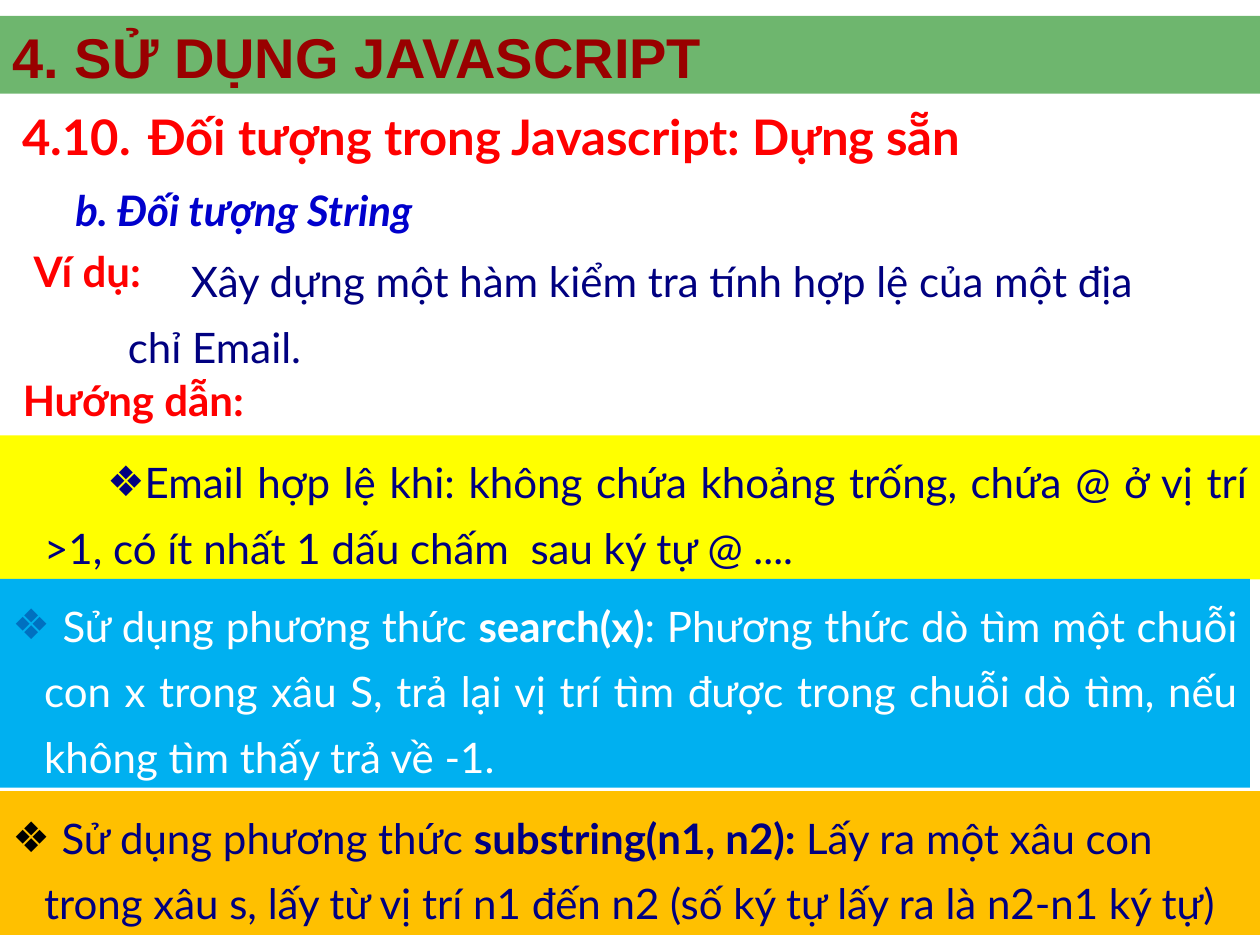
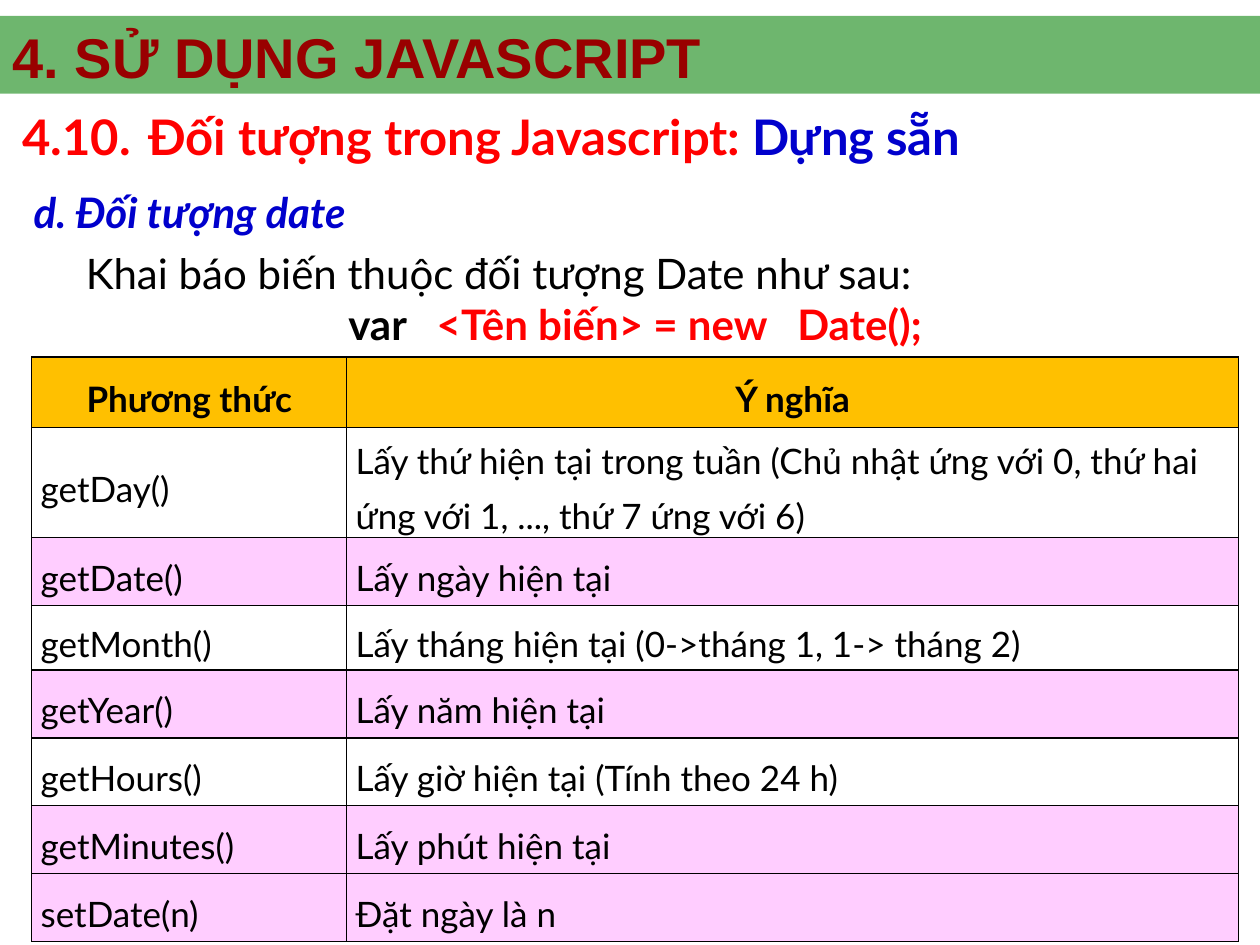
import pptx
import pptx.dml.color
import pptx.enum.shapes
import pptx.enum.text
import pptx.oxml
import pptx.oxml.ns
import pptx.util
from pptx.util import Cm

ALIGN = pptx.enum.text.PP_ALIGN
ANCHOR = pptx.enum.text.MSO_ANCHOR
COLORS = {
    "band": "008000", "title": "990000", "red": "FF0000", "blue": "0000CC",
    "navy": "000080", "black": "000000", "white": "FFFFFF", "yellow": "FFFF00",
    "sky": "00B0F0", "sky_bullet": "0070C0", "orange": "FFC000", "pink": "FFCDFF",
}
STYLES = {
    "title": {"name": "Arial", "size": 32, "bold": True, "color": "title"},
    "heading": {"name": "Lato", "size": 28, "bold": True, "color": "red"},
    "subheading": {"name": "Lato", "size": 24, "bold": True, "italic": True, "color": "blue"},
    "label": {"name": "Lato", "size": 24, "bold": True, "color": "red"},
    "body": {"name": "Lato", "size": 24, "bold": False, "color": "navy"},
    "cell": {"name": "Lato", "size": 20, "bold": False, "color": "black"},
}
BOLD = {"bold": True}
FIRST_LINE = {"margin": Cm(0), "indent": Cm(1.27)}
HANGING = {"margin": Cm(0.64), "indent": Cm(-0.64), "spacing": 1.3, "bullet": "❖"}


def rgb(color):
    return pptx.dml.color.RGBColor.from_string(COLORS[color])


def add_xml(parent, tag, inner="", **attributes):
    values = "".join(f' {key}="{value}"' for key, value in attributes.items())
    namespace = pptx.oxml.ns.nsdecls("a")
    parent.append(pptx.oxml.parse_xml(f"<a:{tag} {namespace}{values}>{inner}</a:{tag}>"))


class Deck:
    def __init__(self):
        self.presentation = pptx.Presentation()
        self.presentation.slide_width = Cm(25.4)
        self.presentation.slide_height = Cm(19.05)
        self.slide = None

    def new_slide(self, title, heading):
        layout = self.presentation.slide_layouts.get_by_name("Title Only")
        self.slide = self.presentation.slides.add_slide(layout)
        band = self.rectangle((0, 0.32, 25.4, 1.57), "band")
        band_color = band.element.spPr.find(pptx.oxml.ns.qn("a:solidFill"))[0]
        add_xml(band_color, "alpha", val=57000)
        holder = self.slide.shapes.title
        holder.element.addprevious(band.element)
        place = {"left": 0, "top": 0.6, "width": 25.4, "height": 1.07}
        for side, length in place.items():
            setattr(holder, side, Cm(length))
        self.fill_text(holder.text_frame, "title", [[(title, {})]], anchor=ANCHOR.MIDDLE)
        self.text((0.2, 1.9, 24.13, 1.7), "heading", [heading], anchor=ANCHOR.MIDDLE)

    def rectangle(self, box, color):
        shape = self.slide.shapes.add_shape(
            pptx.enum.shapes.MSO_SHAPE.RECTANGLE, *map(Cm, box))
        shape.shadow.inherit = False
        shape.fill.solid()
        shape.fill.fore_color.rgb = rgb(color)
        shape.line.fill.background()
        return shape

    def panel(self, box, color, runs, **layout):
        self.fill_text(self.rectangle(box, color).text_frame, "body", [runs], **layout)

    def text(self, box, style, paragraphs, **layout):
        frame = self.slide.shapes.add_textbox(*map(Cm, box)).text_frame
        self.fill_text(frame, style, paragraphs, **layout)

    def fill_text(self, frame, style, paragraphs, anchor=ANCHOR.TOP,
                  aligns=(ALIGN.LEFT,), **layout):
        """Fill a frame; each paragraph is a list of (text, style changes) runs."""
        settings = {"word_wrap": True, "auto_size": pptx.enum.text.MSO_AUTO_SIZE.NONE,
                    "vertical_anchor": anchor}
        for key, value in settings.items():
            setattr(frame, key, value)
        for index, runs in enumerate(paragraphs):
            paragraph = frame.add_paragraph() if index else frame.paragraphs[0]
            self.paragraph(paragraph, style, runs, aligns[index % len(aligns)], **layout)

    def paragraph(self, paragraph, style, runs, align, margin=0, indent=0,
                  spacing=1.0, bullet=None, bullet_color=None):
        paragraph.alignment = align
        paragraph.line_spacing = spacing
        paragraph.space_before = pptx.util.Pt(0)
        properties = paragraph._p.get_or_add_pPr()
        properties.set("marL", str(int(margin)))
        properties.set("indent", str(int(indent)))
        if bullet_color:
            add_xml(properties, "buClr", f'<a:srgbClr val="{COLORS[bullet_color]}"/>')
        if bullet:
            add_xml(properties, "buFont", typeface="Arial")
            add_xml(properties, "buChar", char=bullet)
        for content, changes in runs:
            run = paragraph.add_run()
            run.text = content
            for key, value in {**STYLES[style], **changes}.items():
                if key == "color":
                    run.font.color.rgb = rgb(value)
                else:
                    setattr(run.font, key, pptx.util.Pt(value) if key == "size" else value)

    def table(self, left, top, widths, heights, rows, fills):
        table = self.slide.shapes.add_table(
            len(rows), len(widths), Cm(left), Cm(top),
            Cm(sum(widths)), Cm(sum(heights))).table
        table.first_row = table.horz_banding = False
        for column, width in zip(table.columns, widths):
            column.width = Cm(width)
        for number, (row, height, fill) in enumerate(zip(rows, heights, fills)):
            table.rows[number].height = Cm(height)
            for cell, content in zip(table.rows[number].cells, row):
                self.cell(cell, content, fill, is_header=number == 0)

    def cell(self, cell, content, fill, is_header):
        settings = {"margin_left": Cm(0.18), "margin_right": Cm(0.18), "margin_top": 0,
                    "margin_bottom": 0, "vertical_anchor": ANCHOR.MIDDLE}
        for key, value in settings.items():
            setattr(cell, key, value)
        align = ALIGN.CENTER if is_header else ALIGN.LEFT
        self.paragraph(cell.text_frame.paragraphs[0], "cell",
                       [(content, {"bold": is_header})], align, spacing=1.3)
        ink = f'<a:solidFill><a:srgbClr val="{COLORS["black"]}"/></a:solidFill>'
        for side in ("lnL", "lnR", "lnT", "lnB"):
            add_xml(cell._tc.get_or_add_tcPr(), side, ink, w=12700)
        if fill:
            cell.fill.solid()
            cell.fill.fore_color.rgb = rgb(fill)
        else:
            cell.fill.background()


def string_slide(deck, title):
    deck.new_slide(title, [("4.10.\tĐối tượng trong Javascript: Dựng sẵn", {})])
    deck.text((1.27, 3.6, 8.64, 1.27), "subheading", [[("b. Đối tượng String", {})]])
    labels = {"Ví dụ:": (-0.84, 4.83, 4.24, 1.27), "Hướng dẫn:": (-1.06, 7.42, 6.77, 1.27)}
    for label, box in labels.items():
        deck.text(box, "label", [[(label, {})]], anchor=ANCHOR.MIDDLE,
                  aligns=[ALIGN.JUSTIFY], **FIRST_LINE)
    deck.text((2.33, 4.73, 22, 2.9), "body", [[
        ("Xây dựng một hàm kiểm tra tính hợp lệ của một địa chỉ Email.", {}),
    ]], spacing=1.3, **FIRST_LINE)

    deck.panel((0, 8.78, 25.4, 2.9), "yellow", [
        ("Email hợp lệ khi: không chứa khoảng trống, chứa @ ở vị trí >1, "
         "có ít nhất 1 dấu chấm  sau ký tự @ ....", {}),
    ], aligns=[ALIGN.JUSTIFY], **{**HANGING, "indent": Cm(1.27)})
    white = {"color": "white"}
    deck.panel((0, 11.67, 25.2, 4.21), "sky", [
        (" ", {"name": "Arial", **white, **BOLD}),
        ("Sử dụng phương thức ", white),
        ("search(x)", {**white, **BOLD}),
        (": Phương thức dò tìm một chuỗi con x trong xâu S, trả lại vị trí tìm được "
         "trong chuỗi dò tìm, nếu không tìm thấy trả về -1.", white),
    ], aligns=[ALIGN.JUSTIFY], bullet_color="sky_bullet", **HANGING)
    deck.panel((0, 15.95, 25.4, 2.9), "orange", [
        (" ", {"name": "Arial", "color": "black", **BOLD}),
        ("Sử dụng phương thức ", {}),
        ("substring(n1, n2): ", BOLD),
        ("Lấy ra một xâu con trong xâu s, lấy từ vị trí n1 đến n2 "
         "(số ký tự lấy ra là n2-n1 ký tự)", {}),
    ], **HANGING)


def date_slide(deck, title):
    deck.new_slide(title, [("4.10.\tĐối tượng trong Javascript: ", {}),
                           ("Dựng sẵn", {"color": "blue"})])
    deck.text((1.48, 4.87, 22.65, 2.29), "body", [
        [("Khai báo biến thuộc đối tượng Date như sau:", {"color": "black"})],
        [("var   ", {"color": "black", **BOLD}),
         ("<Tên biến> = new   Date();", {"color": "red", **BOLD})],
    ], anchor=ANCHOR.MIDDLE, aligns=[ALIGN.LEFT, ALIGN.CENTER])
    deck.text((0.43, 3.46, 22.86, 1.63), "subheading", [[("d. Đối tượng date", {})]],
              anchor=ANCHOR.MIDDLE)
    methods = [
        ("Phương thức", "Ý nghĩa"),
        ("getDay()", "Lấy thứ hiện tại trong tuần (Chủ nhật ứng với 0, "
                     "thứ hai ứng với 1, ..., thứ 7 ứng với 6)"),
        ("getDate()", "Lấy ngày hiện tại"),
        ("getMonth()", "Lấy tháng hiện tại (0->tháng 1, 1-> tháng 2)"),
        ("getYear()", "Lấy năm hiện tại"),
        ("getHours()", "Lấy giờ hiện tại (Tính theo 24 h)"),
        ("getMinutes()", "Lấy phút hiện tại"),
        ("setDate(n)", "Đặt ngày là n"),
    ]
    deck.table(0.64, 7.2, [6.35, 17.98], [1.42, 2.13, 1.37, 1.3] + [1.37] * 4, methods,
               ["orange"] + [None, "pink"] * 3 + ["pink"])


def main():
    deck = Deck()
    for build in (string_slide, date_slide):
        build(deck, "4. SỬ DỤNG JAVASCRIPT")
    deck.presentation.save("out.pptx")


if __name__ == "__main__":
    main()
